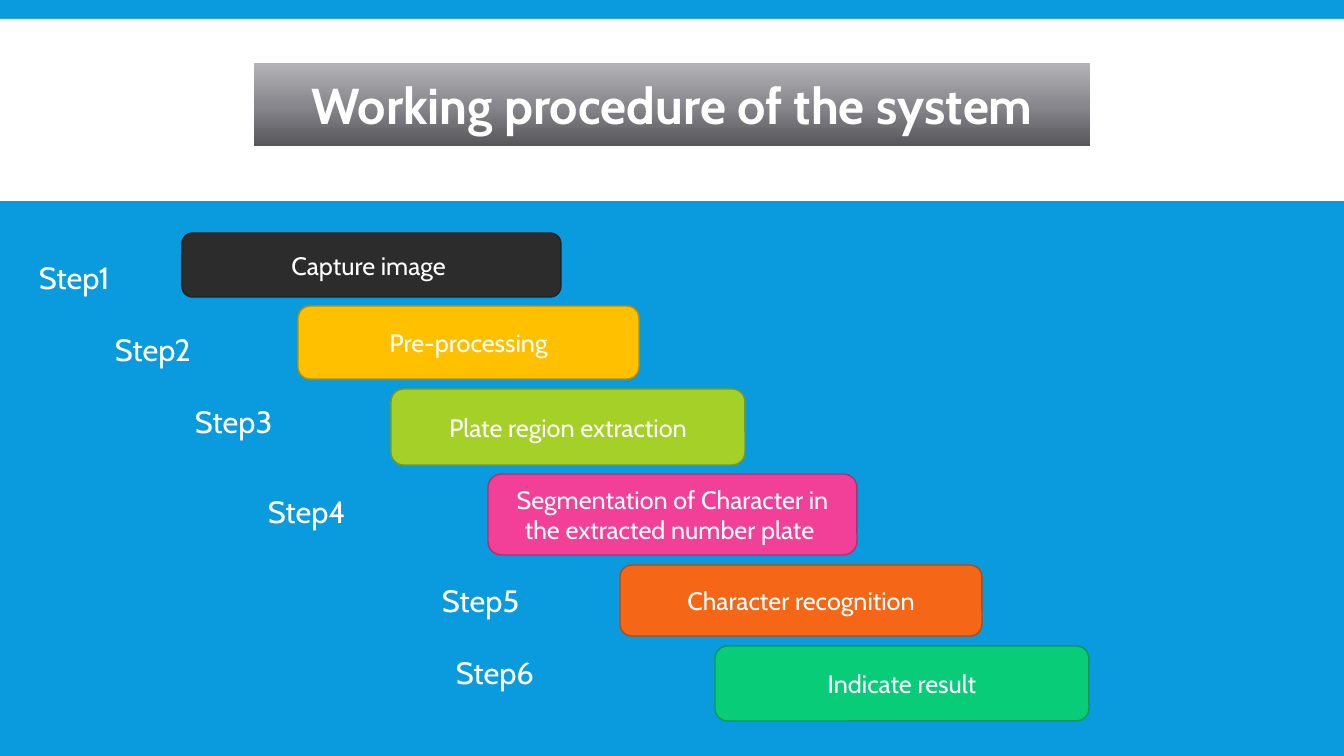
"""Build a slide that shows a six-step working procedure as a staircase."""
from copy import deepcopy
from dataclasses import dataclass

from pptx import Presentation
from pptx.dml.color import RGBColor
from pptx.enum.shapes import MSO_SHAPE
from pptx.enum.text import MSO_ANCHOR, PP_ALIGN
from pptx.oxml.ns import qn
from pptx.util import Emu, Pt

RECTANGLE, ROUNDED = MSO_SHAPE.RECTANGLE, MSO_SHAPE.ROUNDED_RECTANGLE
LEFT, CENTER = PP_ALIGN.LEFT, PP_ALIGN.CENTER
MIDDLE = MSO_ANCHOR.MIDDLE

TITLE = "Working procedure of the system"
STEPS = [
    ("Step1", (39, 277), "Capture image ", (182, 233, 379, 64), "2C2C2C", "212121"),
    ("Step2", (115, 349), "Pre-processing", (298, 306, 341, 73), "FFC000", "BD8E00"),
    ("Step3", (195, 421), "Plate region extraction", (391, 389, 354, 76), "A5D028", "7A9A1E"),
    ("Step4", (268, 511), "Segmentation of Character in the extracted number plate ",
     (488, 474, 369, 81), "F24099", "B32F71"),
    ("Step5", (442, 600), "Character recognition", (620, 565, 362, 71), "F56617", "B54B11"),
    ("Step6", (456, 672), "Indicate result", (715, 646, 374, 75), "08CC78", "069759"),
]

SLIDE_SIZE = (1344, 756)
BAND_AREA = (0, 19, 1344, 182)
TITLE_AREA = (254, 63, 836, 83)
LABEL_WIDTH, LABEL_HEIGHT = 100, 40
EMU_PER_PX = 914400 / 100.8


@dataclass(frozen=True)
class Theme:
    """Hold the colours and type sizes of the slide."""
    font: str = "Cabin"
    background: str = "099BDD"
    white: str = "FFFFFF"
    title_stops: tuple = ((0, "57575B"), (0.48, "86868C"), (1, "B4B4B8"))
    title_size: int = 36
    label_size: int = 22
    box_size: int = 18
    outline: int = 1


THEME = Theme()


def px(*lengths):
    """Turn pixel lengths into EMU."""
    return [Emu(round(length * EMU_PER_PX)) for length in lengths]


def paint(fill, color):
    """Give a fill one solid colour."""
    fill.solid()
    fill.fore_color.rgb = RGBColor.from_string(color)


def write(shape, text, size, align=CENTER, bold=False):
    """Put one formatted paragraph into a shape."""
    frame = shape.text_frame
    frame.word_wrap = True
    frame.vertical_anchor = MIDDLE
    para = frame.paragraphs[0]
    para.alignment = align
    span = para.add_run()
    span.text = text
    for name, value in {"name": THEME.font, "size": Pt(size), "bold": bold}.items():
        setattr(span.font, name, value)
    span.font.color.rgb = RGBColor.from_string(THEME.white)


def add_block(page, kind, area, color, outline=None):
    """Add a flat filled shape, with an outline if a colour is given."""
    block = page.shapes.add_shape(kind, *px(*area))
    block.shadow.inherit = False
    paint(block.fill, color)
    if outline:
        paint(block.line.fill, outline)
        block.line.width = Pt(THEME.outline)
    else:
        block.line.fill.background()
    return block


def add_label(page, text, left, middle):
    """Add a step label centred on a height."""
    area = (left, middle - LABEL_HEIGHT / 2, LABEL_WIDTH, LABEL_HEIGHT)
    label = page.shapes.add_textbox(*px(*area))
    for side in ("left", "right", "top", "bottom"):
        setattr(label.text_frame, f"margin_{side}", 0)
    write(label, text, THEME.label_size, LEFT)


def format_title(title):
    """Place the title and shade it from bottom to top."""
    for name, value in zip(("left", "top", "width", "height"), px(*TITLE_AREA)):
        setattr(title, name, value)
    title.fill.gradient()
    title.fill.gradient_angle = 90
    stop_list = title.element.spPr.find(".//" + qn("a:gsLst"))
    stop_list.append(deepcopy(stop_list[0]))
    for stop, (position, color) in zip(title.fill.gradient_stops, THEME.title_stops):
        stop.position = position
        stop.color.rgb = RGBColor.from_string(color)
    write(title, TITLE, THEME.title_size, bold=True)


def main():
    """Build and save the deck."""
    deck = Presentation()
    deck.slide_width, deck.slide_height = px(*SLIDE_SIZE)
    page = deck.slides.add_slide(deck.slide_layouts.get_by_name("Title Only"))
    paint(page.background.fill, THEME.background)
    title = page.shapes.title
    band = add_block(page, RECTANGLE, BAND_AREA, THEME.white)
    title.element.addprevious(band.element)
    format_title(title)
    for label, spot, text, area, color, outline in STEPS:
        add_label(page, label, *spot)
        write(add_block(page, ROUNDED, area, color, outline), text, THEME.box_size)
    deck.save("out.pptx")


if __name__ == "__main__":
    main()
